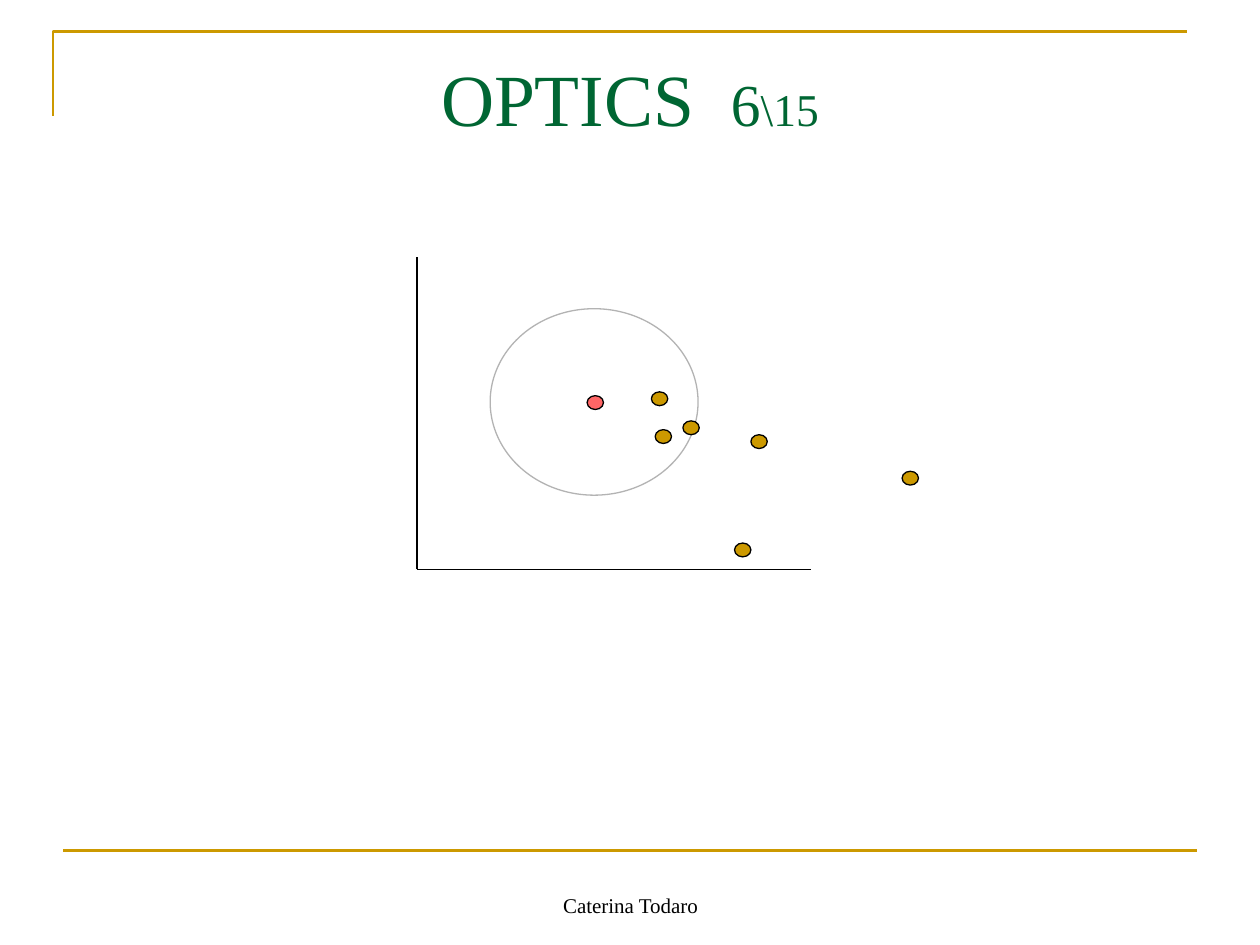
from lxml import etree
from pptx import Presentation
from pptx.dml.color import RGBColor
from pptx.enum import shapes, text
from pptx.oxml.ns import qn
from pptx.util import Inches, Pt

FONT = "Times New Roman"
GOLD, GREEN, BLACK, GREY, RED = "CC9900", "006633", "000000", "B3B3B3", "FF6666"

TITLE = [("OPTICS  ", 42), ("6", 34), ("\\15", 26)]
FOOTER = [("Caterina Todaro", 12)]

CORNER = [(0.42, 0.92), (0.42, 0.25), (9.42, 0.25)]
FOOTER_RULE = (0.5, 6.75, 9.5, 6.75)
ORIGIN = (3.31, 4.52)
AXIS_ENDS = [(3.31, 2.04), (6.44, 4.52)]

NEIGHBOURHOOD = (3.89, 2.45, 1.65, 1.48)
POINT_SIZE = (0.13, 0.11)
CORE_POINT = (4.66, 3.14)
OTHER_POINTS = [(5.17, 3.11), (5.96, 3.45), (5.83, 4.31),
                (5.2, 3.41), (5.42, 3.34), (7.16, 3.74)]


def color(hex_code):
    return RGBColor.from_string(hex_code)


def set_line(shape, hex_code, width):
    shape.line.color.rgb = color(hex_code)
    shape.line.width = Pt(width)


def add_line(slide, ends, hex_code, width):
    line = slide.shapes.add_connector(
        shapes.MSO_CONNECTOR.STRAIGHT, *map(Inches, ends))
    set_line(line, hex_code, width)
    etree.SubElement(line._element.spPr, qn("a:effectLst"))


def add_ellipse(group, box, outline, fill=None):
    ellipse = group.shapes.add_shape(shapes.MSO_SHAPE.OVAL, *map(Inches, box))
    ellipse.shadow.inherit = False
    if fill:
        ellipse.fill.solid()
        ellipse.fill.fore_color.rgb = color(fill)
    else:
        ellipse.fill.background()
    set_line(ellipse, outline, 0.75)


def fill_text(shape, box, runs, hex_code, anchor, top_inset=0.05):
    """Place a text shape and write one centred line of (words, size) runs."""
    shape.left, shape.top, shape.width, shape.height = map(Inches, box)
    frame = shape.text_frame
    frame.word_wrap = True
    frame.auto_size = text.MSO_AUTO_SIZE.NONE
    frame.vertical_anchor = anchor
    frame.margin_top = Inches(top_inset)
    paragraph = frame.paragraphs[0]
    paragraph.alignment = text.PP_ALIGN.CENTER
    for words, size in runs:
        run = paragraph.add_run()
        run.text = words
        run.font.name = FONT
        run.font.size = Pt(size)
        run.font.color.rgb = color(hex_code)


def main():
    prs = Presentation()
    prs.slide_width, prs.slide_height = Inches(10), Inches(7.5)
    slide = prs.slides.add_slide(prs.slide_layouts[5])

    start, *rest = [(Inches(x), Inches(y)) for x, y in CORNER]
    builder = slide.shapes.build_freeform(*start)
    builder.add_line_segments(rest, close=False)
    corner = builder.convert_to_shape()
    corner.shadow.inherit = False
    corner.fill.background()
    set_line(corner, GOLD, 1.5)
    add_line(slide, FOOTER_RULE, GOLD, 1.5)

    cluster = slide.shapes.add_group_shape()
    add_ellipse(cluster, NEIGHBOURHOOD, GREY)
    add_ellipse(cluster, CORE_POINT + POINT_SIZE, BLACK, RED)
    for point in OTHER_POINTS:
        add_ellipse(cluster, point + POINT_SIZE, BLACK, GOLD)

    for end in AXIS_ENDS:
        add_line(slide, ORIGIN + end, BLACK, 0.75)

    fill_text(slide.shapes.title, (0.5, 0.3, 9, 1.25), TITLE, GREEN,
              text.MSO_ANCHOR.TOP, top_inset=0.12)
    footer = slide.shapes.add_textbox(0, 0, 0, 0)
    fill_text(footer, (3.42, 6.83, 3.17, 0.5), FOOTER, BLACK,
              text.MSO_ANCHOR.BOTTOM)

    prs.save("out.pptx")


if __name__ == "__main__":
    main()
